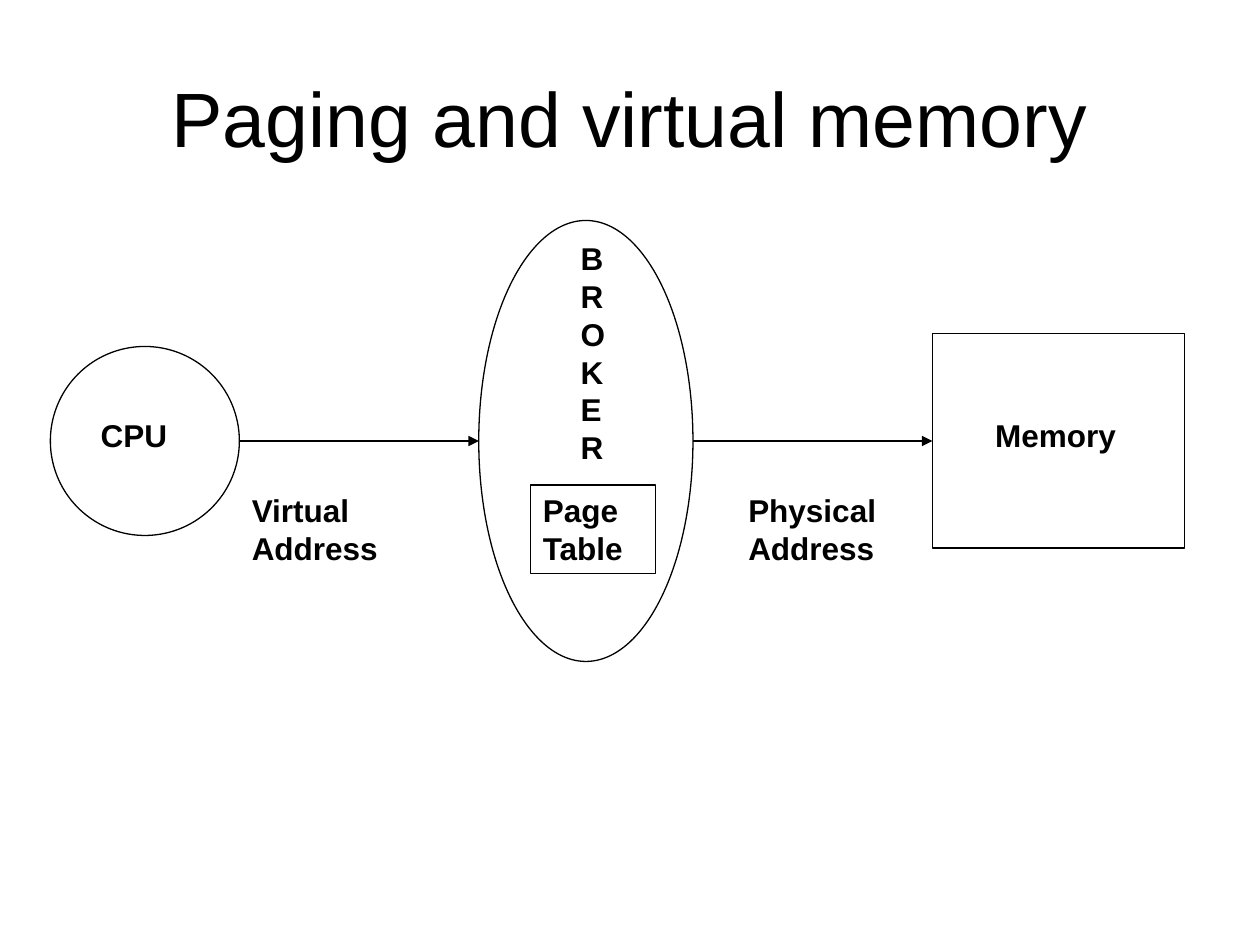
from typing import NamedTuple

from lxml import etree
from pptx import Presentation
from pptx.dml.color import RGBColor
from pptx.enum.shapes import MSO_CONNECTOR, MSO_SHAPE
from pptx.enum.text import MSO_ANCHOR, PP_ALIGN
from pptx.oxml.ns import qn
from pptx.util import Inches, Pt

OVAL, RECT = MSO_SHAPE.OVAL, MSO_SHAPE.RECTANGLE
STRAIGHT = MSO_CONNECTOR.STRAIGHT
LEFT, CENTER = PP_ALIGN.LEFT, PP_ALIGN.CENTER
TOP, MIDDLE = MSO_ANCHOR.TOP, MSO_ANCHOR.MIDDLE

COLORS = {"ink": "000000"}
FONT = "Arial"
CELL = 0.1  # inches; the slide is 100 columns by 75 rows
COLS, ROWS = 100, 75
LINE_WIDTH = Pt(0.75)
AXIS = 35  # row on which the three nodes are centred


class Box(NamedTuple):
    col: float
    row: float
    cols: float
    rows: float


class Node(NamedTuple):
    kind: int
    col: float
    cols: float
    rows: float

    @property
    def box(self) -> Box:
        return Box(self.col, AXIS - self.rows / 2, self.cols, self.rows)

    @property
    def right(self) -> float:
        return self.col + self.cols


class Label(NamedTuple):
    text: str
    box: Box


CPU = Node(OVAL, 4, 15, 15)
BROKER = Node(OVAL, 38, 17, 35)
MEMORY = Node(RECT, 74, 20, 17)
NODES = (CPU, BROKER, MEMORY)

LABELS = (
    Label("CPU", Box(7, 32.5, 10, 4)),
    Label("\n".join("BROKER"), Box(45.1, 18.5, 3.9, 19)),
    Label("Memory", Box(78, 32.5, 13.6, 4)),
    Label("Virtual\nAddress", Box(19, 38.5, 13.4, 7)),
    Label("Physical\nAddress", Box(58.4, 38.5, 14.2, 7)),
)
PAGE_TABLE = Label("Page\nTable", Box(42.1, 38.5, 9.9, 7))
TITLE = Label("Paging and virtual memory", Box(5, 3, 90, 12.5))


def grid(n: float) -> int:
    """Length of n grid cells."""
    return Inches(n * CELL)


def color(name: str) -> RGBColor:
    return RGBColor.from_string(COLORS[name])


def write(sp, text: str, *, size=18, bold=True, align=LEFT, anchor=TOP) -> None:
    tf = sp.text_frame
    tf.word_wrap = True
    tf.vertical_anchor = anchor
    tf.text = text
    for p in tf.paragraphs:
        p.alignment = align
        p.font.name = FONT
        p.font.size = Pt(size)
        p.font.bold = bold
        p.font.color.rgb = color("ink")


def add_outline(s, kind: int, box: Box):
    sp = s.shapes.add_shape(kind, *map(grid, box))
    sp.shadow.inherit = False
    sp.fill.background()
    sp.line.color.rgb = color("ink")
    sp.line.width = LINE_WIDTH
    return sp


def add_label(s, label: Label, **fmt) -> None:
    write(s.shapes.add_textbox(*map(grid, label.box)), label.text, **fmt)


def add_arrow(s, start: Node, end: Node) -> None:
    y = grid(AXIS)
    cx = s.shapes.add_connector(STRAIGHT, grid(start.right), y, grid(end.col), y)
    cx.line.color.rgb = color("ink")
    cx.line.width = LINE_WIDTH
    etree.SubElement(cx.line._get_or_add_ln(), qn("a:tailEnd"), type="triangle")
    etree.SubElement(cx._element.spPr, qn("a:effectLst"))


def main() -> None:
    prs = Presentation()
    prs.slide_width, prs.slide_height = grid(COLS), grid(ROWS)
    s = prs.slides.add_slide(prs.slide_layouts[6])

    for node in NODES:
        add_outline(s, node.kind, node.box)
    for start, end in zip(NODES, NODES[1:]):
        add_arrow(s, start, end)
    for label in LABELS:
        add_label(s, label)
    write(add_outline(s, RECT, PAGE_TABLE.box), PAGE_TABLE.text)
    add_label(s, TITLE, size=44, bold=False, align=CENTER, anchor=MIDDLE)

    prs.save("out.pptx")


if __name__ == "__main__":
    main()
